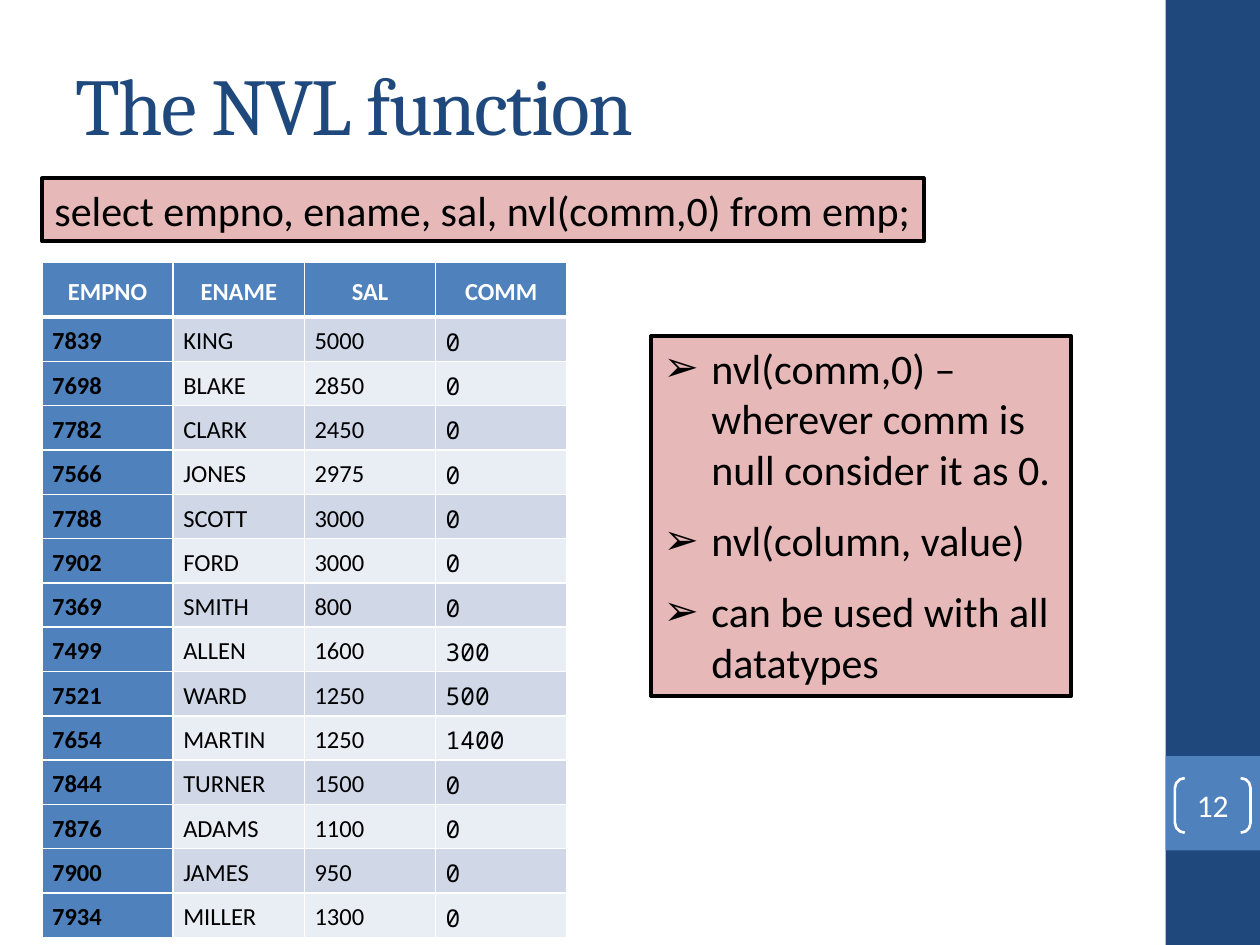
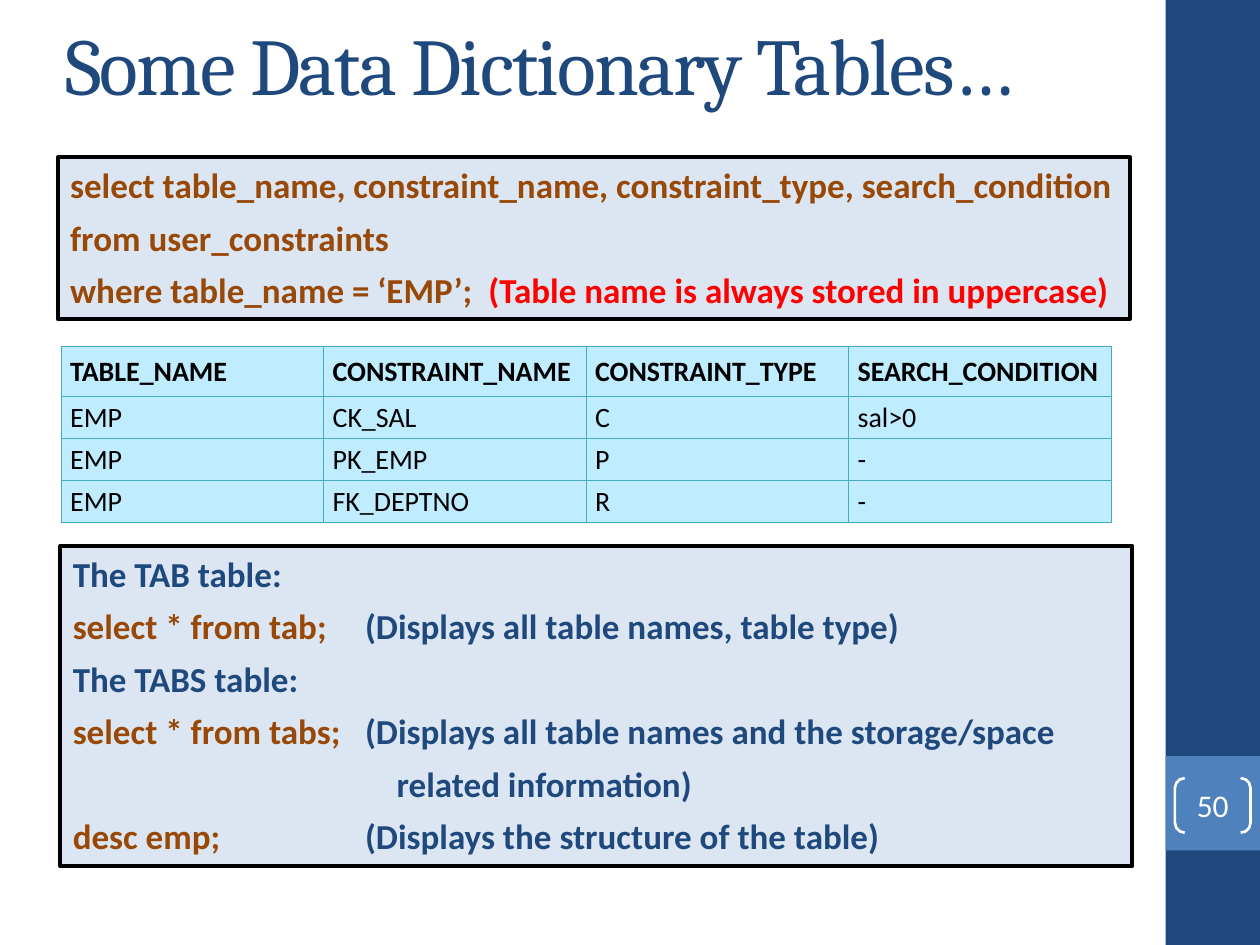
"""Build two SQL slides: the NVL function and the data dictionary tables."""
from lxml import etree
from pptx import Presentation, util as u
from pptx.dml.color import RGBColor
from pptx.enum import shapes, text
from pptx.oxml import ns

COLORS = {
    "navy": "1F497D", "blue": "4F81BD", "white": "FFFFFF", "black": "000000",
    "pink": "E6B9B8", "pale": "DCE6F2", "brown": "984807", "red": "FF0000",
    "odd row": "D0D8E8", "even row": "E9EDF4", "cyan": "BFECFF", "teal": "46AAC5",
}
RGB = {name: RGBColor.from_string(value) for name, value in COLORS.items()}

presentation = Presentation()
presentation.slide_width, presentation.slide_height = u.Inches(10), u.Inches(7.5)
UNIT = presentation.slide_width / 120


def write(paragraph, parts, size, bold=False, face="Calibri"):
    """Fill a paragraph with (text, colour) parts in one font."""
    paragraph.font.size, paragraph.font.bold = u.Pt(size), bold
    paragraph.font.name = face
    paragraph.font.color.rgb = RGB[parts[0][1]]
    for words, color in parts:
        run = paragraph.add_run()
        run.text = words
        if color != parts[0][1]:
            run.font.color.rgb = RGB[color]


def add_grid(slide, rows, left, top, column, heights, size, pads, border, rule, look):
    """Add a bordered table; pads are side, header and body; look styles a cell."""
    frame = slide.shapes.add_table(
        len(rows), len(rows[0]), *(int(n * UNIT) for n in (left, top, column * len(rows[0]), sum(heights))))
    table = frame.table
    side_pad, header_pad, body_pad = (u.Inches(pad) for pad in pads)
    for table_column in table.columns:
        table_column.width = int(column * UNIT)
    for r, row in enumerate(rows):
        table.rows[r].height = int(heights[r] * UNIT)
        for c, words in enumerate(row):
            cell = table.cell(r, c)
            fill, color, bold, face = look(r, c)
            cell.margin_left = cell.margin_right = side_pad
            cell.margin_top = cell.margin_bottom = body_pad if r else header_pad
            cell.vertical_anchor = text.MSO_ANCHOR.MIDDLE if r else text.MSO_ANCHOR.BOTTOM
            properties = cell._tc.get_or_add_tcPr()
            for side in ("lnL", "lnR", "lnT", "lnB"):
                under_header = (r, side) in ((0, "lnB"), (1, "lnT"))
                line = etree.SubElement(properties, ns.qn("a:" + side),
                                        w=str(u.Pt(rule if under_header else border[1])))
                solid = etree.SubElement(line, ns.qn("a:solidFill"))
                etree.SubElement(solid, ns.qn("a:srgbClr"), val=COLORS[border[0]])
            cell.fill.solid()
            cell.fill.fore_color.rgb = RGB[fill]
            write(cell.text_frame.paragraphs[0], [(words, color)], size, bold, face)
    return table


slides = []
for layout, number, title, box in (
    (1, "12", "The NVL function", (6, 3.6, 100, 12.4)),
    (5, "50", "Some Data Dictionary Tables…", (5, 2, 100, 8)),
):
    slide = presentation.slides.add_slide(presentation.slide_layouts[layout])
    slides.append(slide)
    for kind, place, fill in (
        (shapes.MSO_SHAPE.RECTANGLE, (111, 0, 9, 90), "navy"),
        (shapes.MSO_SHAPE.RECTANGLE, (111, 72, 9, 9), "blue"),
        (shapes.MSO_SHAPE.DOUBLE_BRACKET, (111.9, 74.1, 7.2, 5.2), None),
    ):
        shape = slide.shapes.add_shape(kind, *(int(n * UNIT) for n in place))
        shape.shadow.inherit = False
        if fill:
            shape.fill.solid()
            shape.fill.fore_color.rgb = RGB[fill]
            shape.line.fill.background()
    shape.fill.background()
    shape.adjustments[0] = 0.18
    shape.line.color.rgb, shape.line.width = RGB["white"], u.Pt(1.5)
    frame = shape.text_frame
    frame.margin_left = frame.margin_right = frame.margin_top = frame.margin_bottom = 0
    frame.vertical_anchor = text.MSO_ANCHOR.MIDDLE
    frame.paragraphs[0].alignment = text.PP_ALIGN.CENTER
    write(frame.paragraphs[0], [(number, "white")], 18)

    heading = slide.shapes.title
    heading.left, heading.top, heading.width, heading.height = (int(n * UNIT) for n in box)
    frame = heading.text_frame
    frame.auto_size, frame.vertical_anchor = text.MSO_AUTO_SIZE.NONE, text.MSO_ANCHOR.MIDDLE
    frame.paragraphs[0].alignment = text.PP_ALIGN.LEFT
    write(frame.paragraphs[0], [(title, "navy")], 46, face="Cambria")
    frame.paragraphs[0].runs[0]._r.get_or_add_rPr().set("spc", "-100")

nvl_slide, dictionary_slide = slides

query = [[("select empno, ename, sal, nvl(comm,0) from emp;", "black")]]
nvl_notes = [[(words, "black")] for words in (
    "nvl(comm,0) – wherever comm is null consider it as 0.",
    "nvl(column, value)",
    "can be used with all datatypes",
)]
constraint_query = [
    [("select table_name, constraint_name, constraint_type, search_condition", "brown")],
    [("from user_constraints", "brown")],
    [("where table_name = ‘EMP’;", "brown"), ("\t(Table name is always stored in uppercase)", "red")],
]
tab_queries = [
    [("The TAB table:", "navy")],
    [("select * from tab;", "brown"), ("\t(Displays all table names, table type)", "navy")],
    [("The TABS table:", "navy")],
    [("select * from tabs;", "brown"), ("\t(Displays all table names and the storage/space", "navy")],
    [("related information)", "navy")],
    [("desc emp;", "brown"), ("\t(Displays the structure of the table)", "navy")],
]
bullet_box = nvl_slide.placeholders[1]
for slide, shape, box, fill, size, before, after, tab, lines in (
    (nvl_slide, None, (4, 17, 84, 6), "pink", 24, 0, 0, 0, query),
    (nvl_slide, bullet_box, (62, 32, 40, 34.3), "pink", 24, 6, 6, 0, nvl_notes),
    (dictionary_slide, None, (5.5, 15, 102.1, 15.4), "pale", 20, 6, 0, 3.32, constraint_query),
    (dictionary_slide, None, (5.75, 52, 102.1, 30.5), "pale", 20, 6, 0, 2.32, tab_queries),
):
    place = [int(n * UNIT) for n in box]
    if shape is None:
        shape = slide.shapes.add_shape(shapes.MSO_SHAPE.RECTANGLE, *place)
        shape.shadow.inherit = False
    shape.left, shape.top, shape.width, shape.height = place
    shape.fill.solid()
    shape.fill.fore_color.rgb = RGB[fill]
    shape.line.color.rgb, shape.line.width = RGB["black"], u.Pt(2.25)
    frame = shape.text_frame
    frame.word_wrap, frame.auto_size = True, text.MSO_AUTO_SIZE.NONE
    frame.vertical_anchor, frame.margin_right = text.MSO_ANCHOR.TOP, u.Inches(0.05)
    for index, parts in enumerate(lines):
        paragraph = frame.add_paragraph() if index else frame.paragraphs[0]
        paragraph.alignment = text.PP_ALIGN.LEFT
        paragraph.space_before, paragraph.space_after = u.Pt(before), u.Pt(after)
        properties = paragraph._p.get_or_add_pPr()
        if lines is nvl_notes:
            properties.set("marL", str(u.Inches(0.38)))
            properties.set("indent", str(-u.Inches(0.38)))
            etree.SubElement(properties, ns.qn("a:buChar"), char="➢")
        elif len(parts) > 1:
            stops = etree.SubElement(properties, ns.qn("a:tabLst"))
            etree.SubElement(stops, ns.qn("a:tab"), pos=str(u.Inches(tab)), algn="l")
        elif parts[0][0].startswith("related"):
            properties.set("marL", str(u.Inches(tab + 0.25)))
        write(paragraph, parts, size, bold=slide is dictionary_slide)

employees = [row.split() for row in (
    "EMPNO ENAME SAL COMM",
    "7839 KING 5000 0",
    "7698 BLAKE 2850 0",
    "7782 CLARK 2450 0",
    "7566 JONES 2975 0",
    "7788 SCOTT 3000 0",
    "7902 FORD 3000 0",
    "7369 SMITH 800 0",
    "7499 ALLEN 1600 300",
    "7521 WARD 1250 500",
    "7654 MARTIN 1250 1400",
    "7844 TURNER 1500 0",
    "7876 ADAMS 1100 0",
    "7900 JAMES 950 0",
    "7934 MILLER 1300 0",
)]
employee_table = add_grid(
    nvl_slide, employees, 4, 25, 12.5, [5.2] + [4.22] * 14, 14, (0.08, 0.08, 0.02), ("white", 1), 3,
    lambda r, c: (
        "blue" if r == 0 or c == 0 else "odd row" if r % 2 else "even row",
        "black" if r else "white",
        r == 0 or c == 0,
        "Noto Sans Mono" if r and c == 3 else "Calibri"))
for cell in employee_table.iter_cells():
    cell.text_frame.paragraphs[0].line_spacing = 1.15
for cell in employee_table.rows[0].cells:
    cell.text_frame.paragraphs[0].alignment = text.PP_ALIGN.CENTER

constraints = [row.split() for row in (
    "TABLE_NAME CONSTRAINT_NAME CONSTRAINT_TYPE SEARCH_CONDITION",
    "EMP CK_SAL C sal>0",
    "EMP PK_EMP P -",
    "EMP FK_DEPTNO R -",
)]
add_grid(dictionary_slide, constraints, 5.85, 33, 25, [4.8] + [4] * 3, 16, (0.07, 0.06, 0.03), ("teal", 0.75), 0.75,
         lambda r, c: ("cyan", "black", r == 0, "Calibri"))

presentation.save("out.pptx")
